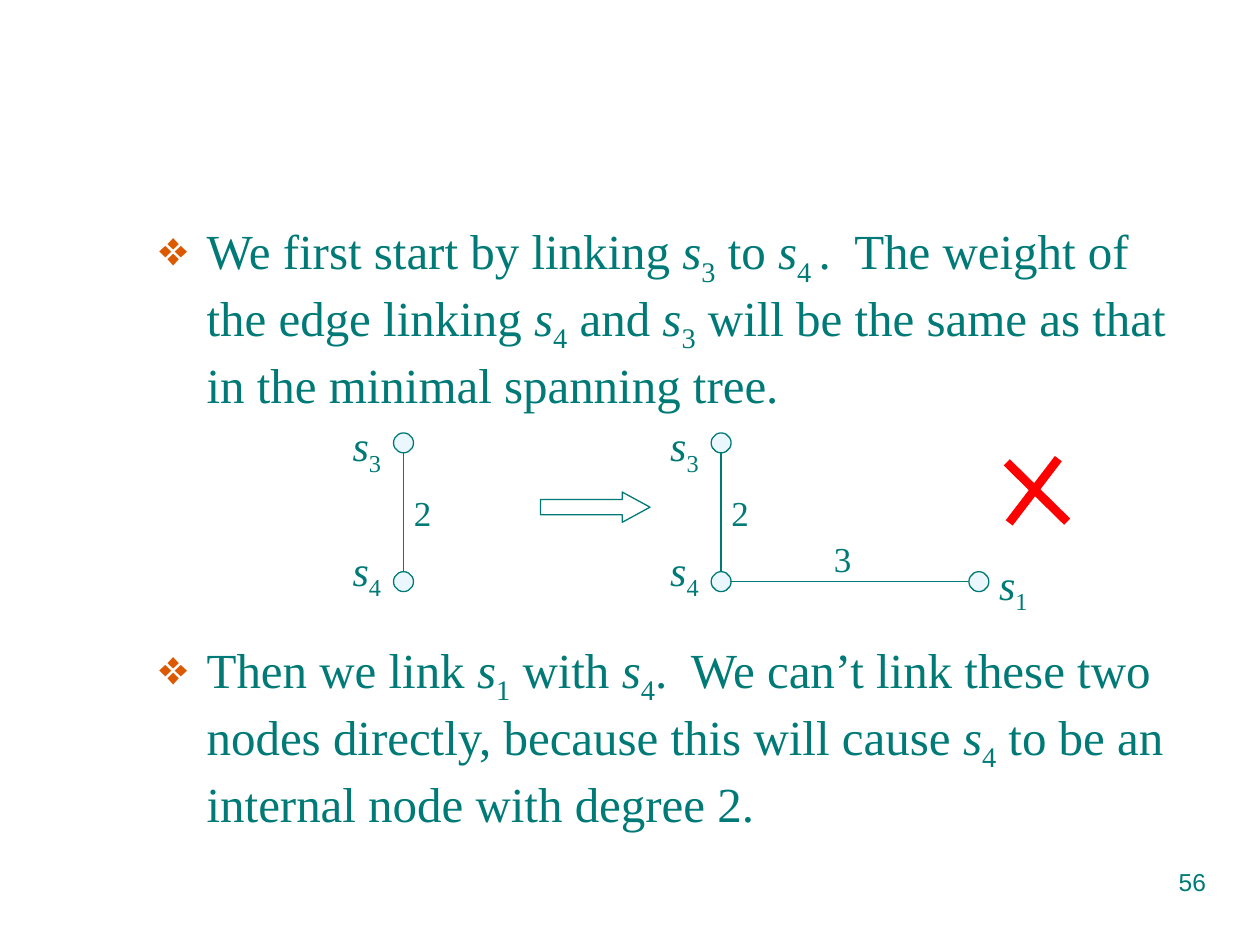
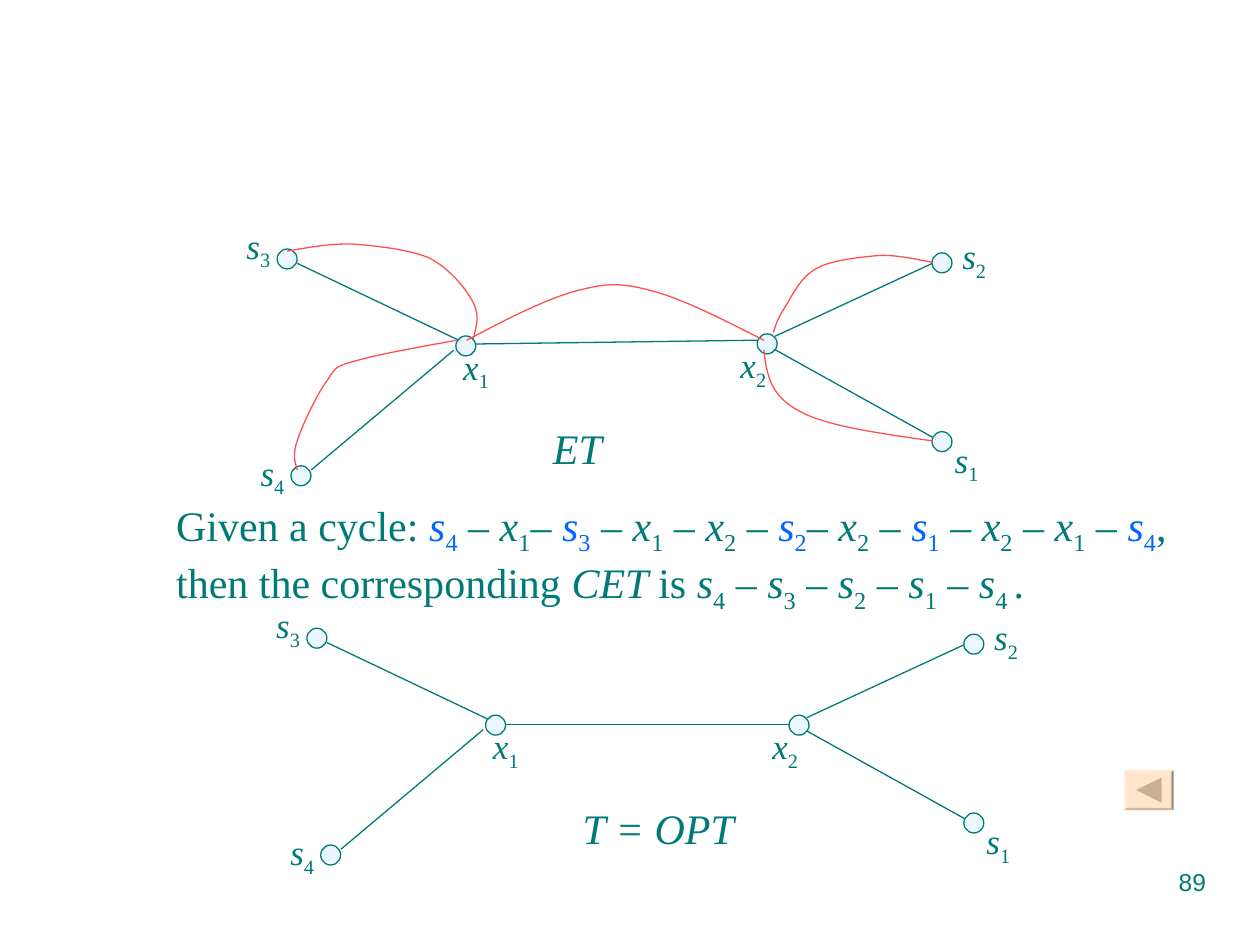
from dataclasses import dataclass

from lxml import etree
from pptx import Presentation
from pptx.dml.color import RGBColor
from pptx.enum.shapes import MSO_CONNECTOR, MSO_SHAPE
from pptx.enum.text import PP_ALIGN
from pptx.oxml.ns import qn
from pptx.util import Pt

STRAIGHT = MSO_CONNECTOR.STRAIGHT
OVAL = MSO_SHAPE.OVAL
ARROW = MSO_SHAPE.RIGHT_ARROW
BEVEL = MSO_SHAPE.BEVEL
TRIANGLE = MSO_SHAPE.ISOSCELES_TRIANGLE
RIGHT = PP_ALIGN.RIGHT


@dataclass(frozen=True)
class Theme:
    ink: str = "007A77"
    node: str = "EBF7FF"
    bullet: str = "DC5900"
    terminal: str = "0066FF"
    tour: str = "FF5050"
    cross: str = "FF0000"
    button: str = "FFE5CC"
    button_arrow: str = "CBAF92"
    serif: str = "Times New Roman"
    sans: str = "Arial"
    body: float = 28
    large: float = 24
    small: float = 20
    page: float = 14
    hairline: float = 0.75
    heavy: float = 5
    node_size: float = 11.4


THEME = Theme()

# Halves of the tree, in points from the corner of the tree's box.
LEFT_NODES = [(24.4, 17.8), (32.3, 141.7), (126.5, 67.5)]
LEFT_LABELS = [("s3", -0.3, 0), ("s4", 7.8, 129.7), ("x1", 123.6, 69.2)]
LEFT_EDGES = [((35.9, 26), (128.1, 69.9)), ((43.8, 144.1), (125.2, 75.7))]
RIGHT_NODES = [(298.7, 66.3), (398.6, 20), (398.6, 122.2)]
RIGHT_LABELS = [("x2", 282, 68.3), ("s2", 408.8, 5.8), ("s1", 404.4, 122.3)]
RIGHT_EDGES = [((308.8, 67.7), (398.8, 26)), ((308.1, 74.9), (398.8, 125.3))]

# Each tour leg is a start point, then two controls and an end per curve.
TOUR_LEGS = [
    [(30, 19), (42, 17), (54, 14.5), (68, 15), (81, 16), (100, 18), (111.5, 23),
     (123, 29), (132.5, 40.5), (136.5, 48.5), (140.5, 56), (138, 62.5), (136.5, 69)],
    [(36, 144), (34.5, 139.5), (33, 135.5), (36, 127), (39, 118), (47.5, 100), (53, 93),
     (58, 85), (57.5, 85), (70, 81.5), (82, 78), (104.5, 74), (126.5, 70)],
    [(308, 65.5), (309, 62), (310, 58.5), (314, 52), (318, 46), (323, 34), (332.5, 29),
     (341, 24), (358, 22.5), (368.5, 21.5), (379.5, 21), (393, 24.5), (399, 25.5)],
    [(302.5, 75.5), (304, 88.5), (306, 101.5), (322, 110),
     (337.5, 119), (368, 123), (399, 127.5)],
    [(132.5, 70), (154.5, 58.5), (176.5, 47), (194.5, 42), (212.5, 37), (221.5, 37),
     (239.5, 42), (257.5, 47), (280, 58.5), (302.5, 70)],
]


def color(name):
    return RGBColor.from_string(name)


def style(paragraph, size, face=THEME.serif):
    paragraph.font.size = Pt(size)
    paragraph.font.name = face
    paragraph.font.color.rgb = color(THEME.ink)


def add_symbols(paragraph, text, size):
    """Write text in which |s4| is an italic letter with a subscript,
    |!s4| the same in the terminal colour, and |word| plain italic."""
    for index, part in enumerate(text.split("|")):
        if not part:
            continue
        if index % 2 == 0:
            paragraph.add_run().text = part
            continue
        symbol = part.lstrip("!")
        has_subscript = symbol[1].isdigit()
        letter = paragraph.add_run()
        letter.text = symbol[0] if has_subscript else symbol
        letter.font.italic = True
        pieces = [letter]
        if has_subscript:
            subscript = paragraph.add_run()
            subscript.text = symbol[1:]
            subscript._r.get_or_add_rPr().set("baseline", "-25000")
            pieces.append(subscript)
        if part.startswith("!"):
            for piece in pieces:
                piece.font.color.rgb = color(THEME.terminal)
    style(paragraph, size)


def add_bullet(paragraph):
    properties = paragraph._p.get_or_add_pPr()
    properties.set("marL", str(Pt(27)))
    properties.set("indent", str(-Pt(27)))
    bullet_color = etree.SubElement(properties, qn("a:buClr"))
    etree.SubElement(bullet_color, qn("a:srgbClr"), val=THEME.bullet)
    etree.SubElement(properties, qn("a:buSzPct"), val="100000")
    etree.SubElement(properties, qn("a:buChar"), char="❖")


def add_text(slide, x, y, width, height, lines, size, gap=0, bulleted=False):
    box = slide.shapes.add_textbox(Pt(x), Pt(y), Pt(width), Pt(height))
    frame = box.text_frame
    frame.word_wrap = True
    for index, line in enumerate(lines):
        paragraph = frame.add_paragraph() if index else frame.paragraphs[0]
        if index and gap:
            paragraph.space_before = Pt(gap)
        if bulleted:
            add_bullet(paragraph)
        add_symbols(paragraph, line, size)


def add_label(slide, x, y, text, size, width=40):
    add_text(slide, x, y, width, size * 1.15 + 9, [text], size)


def add_preset(slide, preset, x, y, width, height, fill=None, line=None):
    shape = slide.shapes.add_shape(preset, Pt(x), Pt(y), Pt(width), Pt(height))
    shape.shadow.inherit = False
    if fill:
        shape.fill.solid()
        shape.fill.fore_color.rgb = color(fill)
    else:
        shape.fill.background()
    if line:
        shape.line.color.rgb = color(line)
        shape.line.width = Pt(THEME.hairline)
    else:
        shape.line.fill.background()
    return shape


def add_node(slide, x, y):
    add_preset(slide, OVAL, x, y, THEME.node_size, THEME.node_size,
               THEME.node, THEME.ink)


def add_line(slide, start, end, line=THEME.ink, width=THEME.hairline):
    edge = slide.shapes.add_connector(STRAIGHT, *map(Pt, (*start, *end)))
    edge.line.color.rgb = color(line)
    edge.line.width = Pt(width)
    etree.SubElement(edge._element.spPr, qn("a:effectLst"))


def add_page_number(slide, number):
    box = slide.shapes.add_textbox(Pt(516.3), Pt(492), Pt(180), Pt(37.5))
    paragraph = box.text_frame.paragraphs[0]
    paragraph.text = str(number)
    paragraph.alignment = RIGHT
    style(paragraph, THEME.page, THEME.sans)


def add_linked_pair(slide, x, y):
    """Nodes s3 and s4 joined by an edge of weight 2."""
    add_line(slide, (x + 36.2, y + 22.6), (x + 36.2, y + 90.5))
    for name, label_y, node_y in (("s3", 0, 11.2), ("s4", 71.3, 90.5)):
        add_node(slide, x + 30.5, y + node_y)
        add_label(slide, x, y + label_y, f"|{name}|", THEME.large)
    add_label(slide, x + 35, y + 41, "2", THEME.small)


def add_linking_diagram(slide, x, y):
    second_pair = x + 181.5
    add_linked_pair(slide, x, y)
    add_linked_pair(slide, second_pair, y)

    arrow = add_preset(slide, ARROW, x + 114.5, y + 45, 62.6, 17.3, line=THEME.ink)
    arrow.adjustments[0] = 0.5
    arrow.adjustments[1] = 0.92

    add_line(slide, (second_pair + 41, y + 96.1), (x + 364.5, y + 96.1))
    add_node(slide, x + 359.3, y + 90.5)
    add_label(slide, x + 369.4, y + 79.2, "|s1|", THEME.large)
    add_label(slide, x + 275, y + 67.6, "3", THEME.small, 25)

    for start, end in (((410.4, 25.9), (382.3, 62.6)), ((380.9, 28), (415.4, 61.9))):
        add_line(slide, (x + start[0], y + start[1]), (x + end[0], y + end[1]),
                 THEME.cross, THEME.heavy)


def add_half_tree(slide, x, y, nodes, labels, edges):
    for start, end in edges:
        add_line(slide, (x + start[0], y + start[1]), (x + end[0], y + end[1]))
    for node_x, node_y in nodes:
        add_node(slide, x + node_x, y + node_y)
    for name, label_x, label_y in labels:
        add_label(slide, x + label_x, y + label_y, f"|{name}|", THEME.small, 32)


def add_tree(slide, x, y, spine, caption, caption_width, right_shift=(0, 0)):
    """Spanning tree; spine is the edge from x1 to x2."""
    (start_x, start_y), (end_x, end_y) = spine
    add_line(slide, (x + start_x, y + start_y), (x + end_x, y + end_y))
    add_half_tree(slide, x, y, LEFT_NODES, LEFT_LABELS, LEFT_EDGES)
    add_half_tree(slide, x + right_shift[0], y + right_shift[1],
                  RIGHT_NODES, RIGHT_LABELS, RIGHT_EDGES)
    add_label(slide, x + 174.9, y + 113.6, f"|{caption}|", THEME.large, caption_width)


def bend(curve):
    """Turn each three line segments of a freeform into one cubic curve."""
    segments = list(curve._element.iter(qn("a:lnTo")))
    for first in range(0, len(segments), 3):
        cubic = etree.Element(qn("a:cubicBezTo"))
        segments[first].addprevious(cubic)
        for segment in segments[first:first + 3]:
            cubic.append(segment[0])
            segment.getparent().remove(segment)


def add_tour(slide, x, y):
    for leg in TOUR_LEGS:
        points = [(Pt(x + px), Pt(y + py)) for px, py in leg]
        builder = slide.shapes.build_freeform(*points[0])
        builder.add_line_segments(points[1:], close=False)
        curve = builder.convert_to_shape()
        bend(curve)
        curve.shadow.inherit = False
        curve.fill.background()
        curve.line.color.rgb = color(THEME.tour)
        curve.line.width = Pt(THEME.hairline)


def add_back_button(slide, x, y):
    face = add_preset(slide, BEVEL, x, y, 28.5, 23, THEME.button)
    face.adjustments[0] = 0.06
    pointer = add_preset(slide, TRIANGLE, x + 7.2, y + 4.3, 14.4, 14.4,
                         THEME.button_arrow)
    pointer.rotation = 270


def build_linking_slide(slide):
    add_text(slide, 84, 122.6, 600, 368.6, [
        "We first start by linking |s3| to |s4 |.  The weight of the edge linking "
        "|s4| and |s3| will be the same as that in the minimal spanning tree.",
        "Then we link |s1| with |s4|.  We can’t link these two nodes directly, "
        "because this will cause |s4| to be an internal node with degree 2.",
    ], THEME.body, gap=129.2, bulleted=True)
    add_linking_diagram(slide, 194.4, 236.2)
    add_page_number(slide, 56)


def build_cycle_slide(slide):
    add_back_button(slide, 642.2, 440)
    add_tree(slide, 134, 124.5, ((136.7, 72.1), (298.7, 69.9)), "ET", 51)
    add_tour(slide, 134, 124.5)
    add_tree(slide, 151, 341.2, ((137.7, 72.8), (299.7, 72.8)), "T = OPT", 113,
             right_shift=(1.2, 1.2))
    add_text(slide, 93.6, 281.7, 595.4, 72.7, [
        "Given a cycle: |!s4| – |x1|– |!s3| – |x1| – |x2| – |!s2|– |x2| – |!s1|"
        " – |x2| – |x1| – |!s4|,",
        "then the corresponding |CET |is |s4| – |s3| – |s2| – |s1| – |s4 |.",
    ], THEME.large)
    add_page_number(slide, 89)


def main():
    deck = Presentation()
    deck.slide_width, deck.slide_height = Pt(720), Pt(540)
    blank = deck.slide_layouts[6]
    for build in (build_linking_slide, build_cycle_slide):
        build(deck.slides.add_slide(blank))
    deck.save("out.pptx")


if __name__ == "__main__":
    main()
